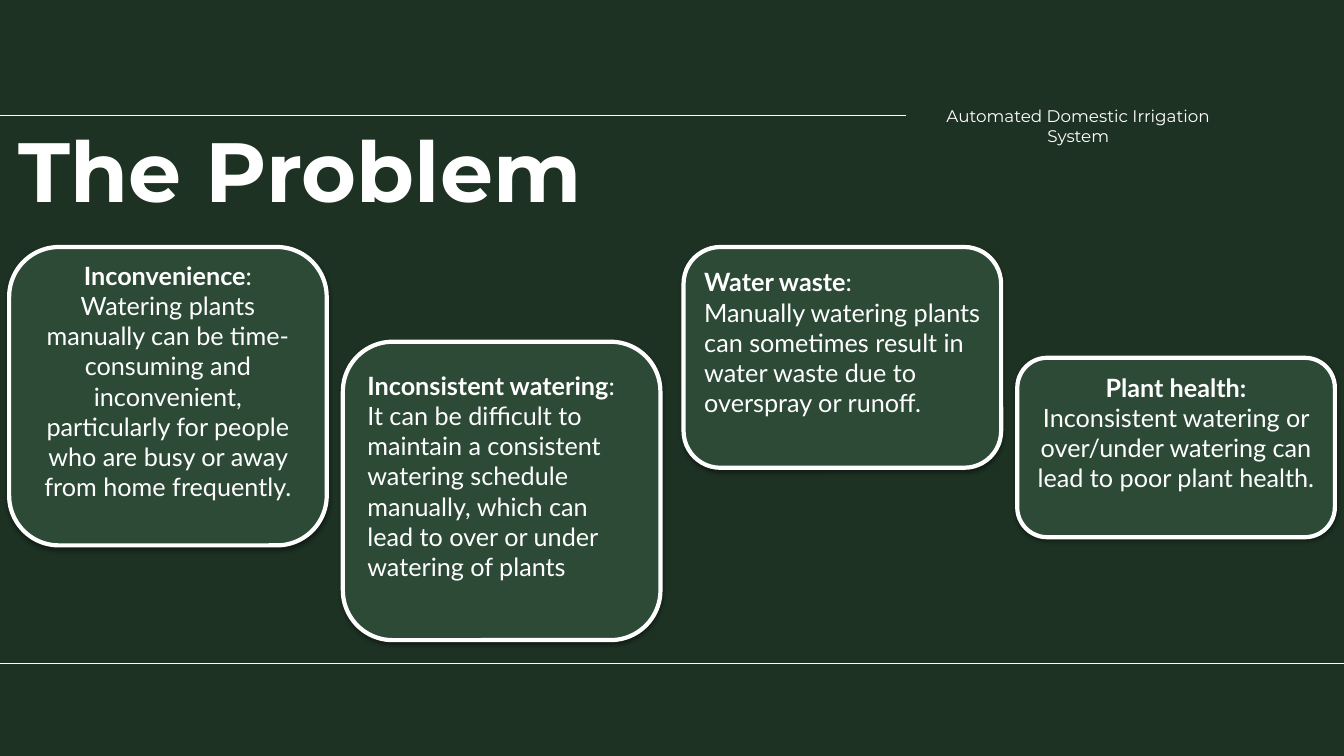
from dataclasses import dataclass

from lxml.etree import SubElement
from pptx import Presentation
from pptx.dml.color import RGBColor
from pptx.enum.shapes import MSO_CONNECTOR, MSO_SHAPE
from pptx.enum.text import MSO_ANCHOR, PP_ALIGN
from pptx.oxml.ns import qn
from pptx.util import Emu, Inches, Pt

COLOURS = {"background": "1D3223", "card": "2C4A35", "white": "FFFFFF", "shadow": "000000"}
SLIDE_WIDTH, SLIDE_HEIGHT = Inches(13.33), Inches(7.5)
CARD_WIDTH = 23.63
WHITE = RGBColor.from_string(COLOURS["white"])
TITLE_FONT = {"name": "Montserrat", "size": Pt(60), "bold": True}
LABEL_FONT = {"name": "Montserrat", "size": Pt(12)}
HEADING_FONT = {"name": "Lato", "size": Pt(18), "bold": True}
BODY_FONT = {**HEADING_FONT, "bold": False}
CARD_FRAME = {"word_wrap": True, "vertical_anchor": MSO_ANCHOR.MIDDLE, "margin_bottom": Inches(0.35)}
TEXT_FRAME = {"word_wrap": True} | {
    f"margin_{side}": Inches(0.13) for side in ("left", "top", "right", "bottom")
}


@dataclass(frozen=True)
class Box:
    """A rectangle in percent of the slide's width and height."""
    left: float
    top: float
    width: float
    height: float

    def lengths(self) -> tuple:
        return across(self.left), down(self.top), across(self.width), down(self.height)


@dataclass(frozen=True)
class Rule:
    end: float
    top: float


@dataclass(frozen=True)
class Label:
    box: Box
    text: str
    font: dict
    anchor: MSO_ANCHOR


@dataclass(frozen=True)
class Card:
    box: Box
    heading: str
    colon_font: dict
    body: str
    alignment: PP_ALIGN


RULES = (Rule(67.44, 15.33), Rule(100, 87.73))
LABELS = (
    Label(Box(0, 13.73, 44.64, 17.33), "The Problem", TITLE_FONT, MSO_ANCHOR.MIDDLE),
    Label(Box(67.44, 12.27, 25.58, 6.27), "Automated Domestic Irrigation System",
          LABEL_FONT, MSO_ANCHOR.TOP),
)
CARDS = (
    Card(Box(0.68, 32.67, CARD_WIDTH, 39.47), "Inconvenience", BODY_FONT,
         "Watering plants manually can be time-consuming and inconvenient, "
         "particularly for people who are busy or away from home frequently.", PP_ALIGN.CENTER),
    Card(Box(25.51, 45.2, CARD_WIDTH, 39.47), "Inconsistent watering", BODY_FONT,
         "It can be difficult to maintain a consistent watering schedule manually, "
         "which can lead to over or under watering of plants", PP_ALIGN.LEFT),
    Card(Box(50.86, 32.67, CARD_WIDTH, 29.2), "Water waste", BODY_FONT,
         "Manually watering plants can sometimes result in water waste "
         "due to overspray or runoff.", PP_ALIGN.LEFT),
    Card(Box(75.69, 47.33, CARD_WIDTH, 23.73), "Plant health", HEADING_FONT,
         "Inconsistent watering or over/under watering can lead to poor plant health.",
         PP_ALIGN.CENTER),
)


def across(percent: float) -> Emu:
    return Emu(round(SLIDE_WIDTH * percent / 100))


def down(percent: float) -> Emu:
    return Emu(round(SLIDE_HEIGHT * percent / 100))


def set_attributes(target, values: dict) -> None:
    for name, value in values.items():
        setattr(target, name, value)


def add_run(paragraph, text: str, font: dict) -> None:
    run = paragraph.add_run()
    run.text = text
    set_attributes(run.font, font)
    run.font.color.rgb = WHITE


def add_soft_shadow(shape) -> None:
    shape.shadow.inherit = False
    effects = shape._element.spPr.find(qn("a:effectLst"))
    shadow = SubElement(effects, qn("a:outerShdw"), blurRad=str(Pt(3.1)), dist=str(Pt(1.6)),
                        dir="5400000", rotWithShape="0")
    colour = SubElement(shadow, qn("a:srgbClr"), val=COLOURS["shadow"])
    SubElement(colour, qn("a:alpha"), val="38000")


def draw_rule(slide, rule: Rule) -> None:
    connector = slide.shapes.add_connector(
        MSO_CONNECTOR.STRAIGHT, 0, down(rule.top), across(rule.end), down(rule.top))
    connector.line.color.rgb = WHITE
    connector.line.width = Pt(0.75)
    SubElement(connector._element.spPr, qn("a:effectLst"))


def draw_label(slide, label: Label) -> None:
    frame = slide.shapes.add_textbox(*label.box.lengths()).text_frame
    set_attributes(frame, TEXT_FRAME | {"vertical_anchor": label.anchor})
    paragraph = frame.paragraphs[0]
    paragraph.alignment = PP_ALIGN.CENTER
    add_run(paragraph, label.text, label.font)


def draw_card(slide, card: Card) -> None:
    shape = slide.shapes.add_shape(MSO_SHAPE.ROUNDED_RECTANGLE, *card.box.lengths())
    shape.fill.solid()
    shape.fill.fore_color.rgb = RGBColor.from_string(COLOURS["card"])
    shape.line.color.rgb = WHITE
    shape.line.width = Pt(3)
    add_soft_shadow(shape)
    frame = shape.text_frame
    set_attributes(frame, CARD_FRAME)
    heading, body = frame.paragraphs[0], frame.add_paragraph()
    heading.alignment = body.alignment = card.alignment
    add_run(heading, card.heading, HEADING_FONT)
    add_run(heading, ":", card.colon_font)
    add_run(body, card.body, BODY_FONT)


def main() -> None:
    presentation = Presentation()
    set_attributes(presentation, {"slide_width": SLIDE_WIDTH, "slide_height": SLIDE_HEIGHT})
    slide = presentation.slides.add_slide(presentation.slide_layouts[6])
    slide.background.fill.solid()
    slide.background.fill.fore_color.rgb = RGBColor.from_string(COLOURS["background"])
    for rule in RULES:
        draw_rule(slide, rule)
    for label in LABELS:
        draw_label(slide, label)
    for card in CARDS:
        draw_card(slide, card)
    presentation.save("out.pptx")


if __name__ == "__main__":
    main()
